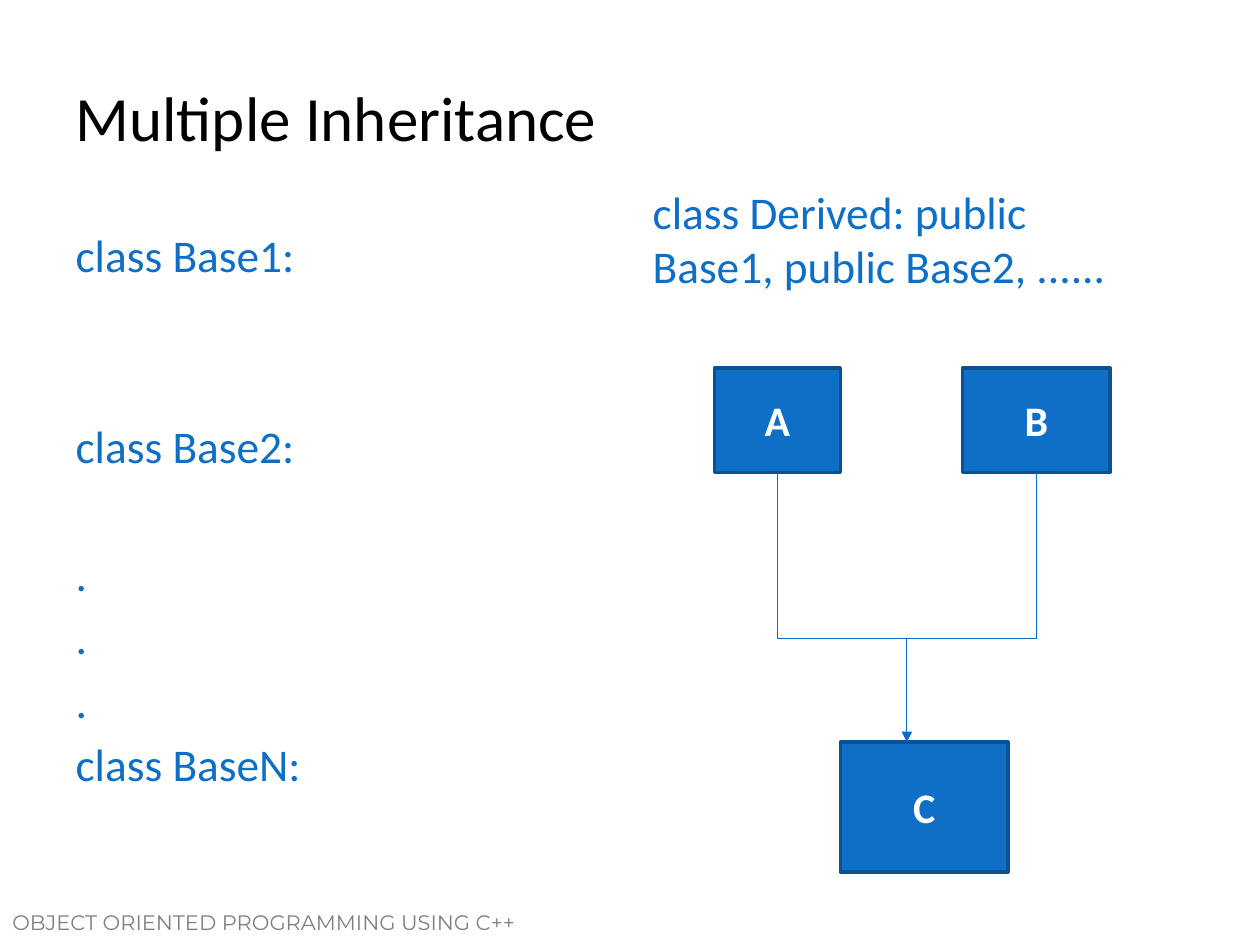
from pptx import Presentation
from pptx.dml.color import RGBColor
from pptx.enum.shapes import MSO_CONNECTOR as CONN, MSO_SHAPE as SHAPE
from pptx.enum.text import MSO_ANCHOR as ANCHOR, MSO_AUTO_SIZE as AUTO, PP_ALIGN as ALIGN
from pptx.oxml.ns import qn
from pptx.util import Inches, Pt
from lxml import etree

COLORS = {"title": "000000", "code": "0F6FC6", "edge": "0B5292",
          "line": "0A6DC6", "label": "FFFFFF", "footer": "808080"}
FORMATS = {
    "title": {"name": "Calibri", "size": Pt(36), "bold": False},
    "code": {"name": "Calibri", "size": Pt(25.9), "bold": False},
    "label": {"name": "Calibri", "size": Pt(24), "bold": True},
    "footer": {"name": "Montserrat", "size": Pt(12), "bold": False},
}
ROW = 36.6  # pitch of the code lines, in points
GAP = 5.2   # space before a code line, in points


def rgb(key):
    return RGBColor.from_string(COLORS[key])


def place(sp, box):
    sp.left, sp.top, sp.width, sp.height = (Inches(v) for v in box)


def write(p, text, style, align=ALIGN.LEFT):
    r = p.add_run()
    r.text = text
    for name, value in FORMATS[style].items():
        setattr(r.font, name, value)
    r.font.color.rgb = rgb(style)
    p.alignment = align


def add_title(s, box, text):
    sp = s.shapes.title
    place(sp, box)
    tf = sp.text_frame
    tf.auto_size, tf.vertical_anchor = AUTO.NONE, ANCHOR.MIDDLE
    write(tf.paragraphs[0], text, "title")


def add_code(sp, box, lines, margin_right=0.1):
    """Fill a body placeholder with (text, rows left free above) lines."""
    place(sp, box)
    tf = sp.text_frame
    tf.auto_size, tf.word_wrap = AUTO.NONE, True
    tf.margin_right = Inches(margin_right)
    for i, (text, free_rows) in enumerate(lines):
        p = tf.add_paragraph() if i else tf.paragraphs[0]
        write(p, text, "code")
        p.space_before = Pt(round(GAP + free_rows * ROW, 1))
        pPr = p._p.get_or_add_pPr()
        pPr.set("marL", "0")
        pPr.set("indent", "0")
        etree.SubElement(pPr, qn("a:buNone"))


def add_class_box(s, box, text):
    sp = s.shapes.add_shape(SHAPE.RECTANGLE, *(Inches(v) for v in box))
    sp.shadow.inherit = False
    sp.fill.solid()
    sp.fill.fore_color.rgb = rgb("code")
    sp.line.color.rgb = rgb("edge")
    sp.line.width = Pt(2)
    sp.text_frame.vertical_anchor = ANCHOR.MIDDLE
    write(sp.text_frame.paragraphs[0], text, "label", ALIGN.CENTER)
    return sp


def add_line(s, x1, y1, x2, y2, arrow=False):
    cx = s.shapes.add_connector(CONN.STRAIGHT, x1, y1, x2, y2)
    cx.line.color.rgb = rgb("line")
    cx.line.width = Pt(0.75)
    if arrow:
        etree.SubElement(cx.line._get_or_add_ln(), qn("a:tailEnd"), type="triangle")
    etree.SubElement(cx._element.spPr, qn("a:effectLst"))
    return cx


def add_diagram(s, box):
    """Two base classes joined by a bar, with an arrow to the derived class."""
    x, y, w, h = box
    bases = [add_class_box(s, (x, y, 1, 0.83), "A"),
             add_class_box(s, (x + w - 1.17, y, 1.17, 0.83), "B")]
    derived = add_class_box(s, (x + 1, y + h - 1.03, 1.33, 1.03), "C")
    bar_y = Inches(y + 2.15)
    centers = [sp.left + sp.width // 2 for sp in bases]
    for sp, cx in zip(bases, centers):
        add_line(s, cx, sp.top + sp.height, cx, bar_y).begin_connect(sp, 2)
    add_line(s, centers[0], bar_y, centers[1], bar_y)
    middle = sum(centers) // 2
    add_line(s, middle, bar_y, middle, derived.top, arrow=True)


def add_footer(s, box, text):
    tf = s.shapes.add_textbox(*(Inches(v) for v in box)).text_frame
    tf.word_wrap = True
    write(tf.paragraphs[0], text, "footer")


def main():
    prs = Presentation()
    prs.slide_width, prs.slide_height = Inches(10), Inches(7.5)
    s = prs.slides.add_slide(prs.slide_layouts[3])
    add_footer(s, (0, 7.17, 5, 0.42), "OBJECT ORIENTED PROGRAMMING USING C++")
    add_title(s, (0.5, 0.3, 9, 1.25), "Multiple Inheritance")
    add_code(s.placeholders[1], (0.5, 1.75, 4.42, 4.95),
             [("class Base1:", 0), ("class Base2:", 2), (".", 1), (".", 0),
              (".", 0), ("class BaseN:", 0)])
    add_code(s.placeholders[2], (5.08, 1.41, 4.42, 5.29),
             [("class Derived: public Base1, public Base2, ......", 0)],
             margin_right=0.5)
    add_diagram(s, (5.67, 2.92, 3.14, 4))
    prs.save("out.pptx")


if __name__ == "__main__":
    main()
